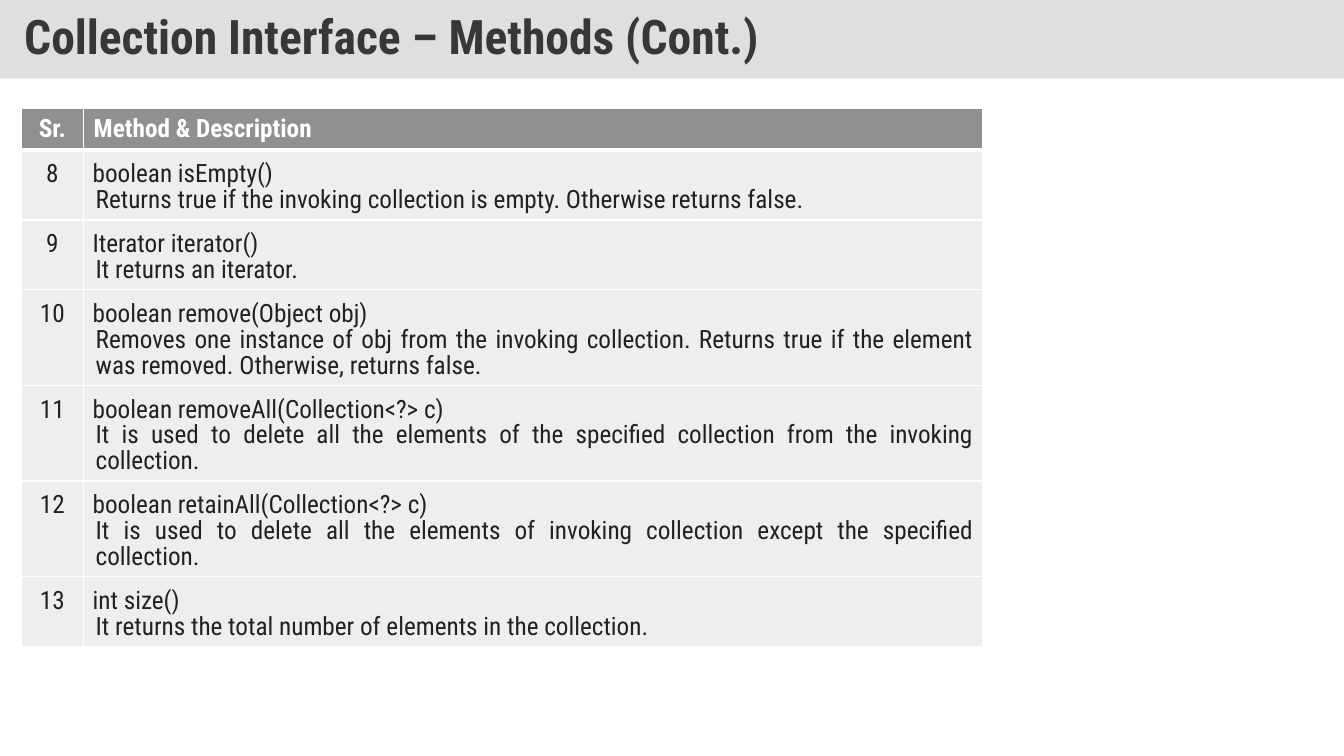
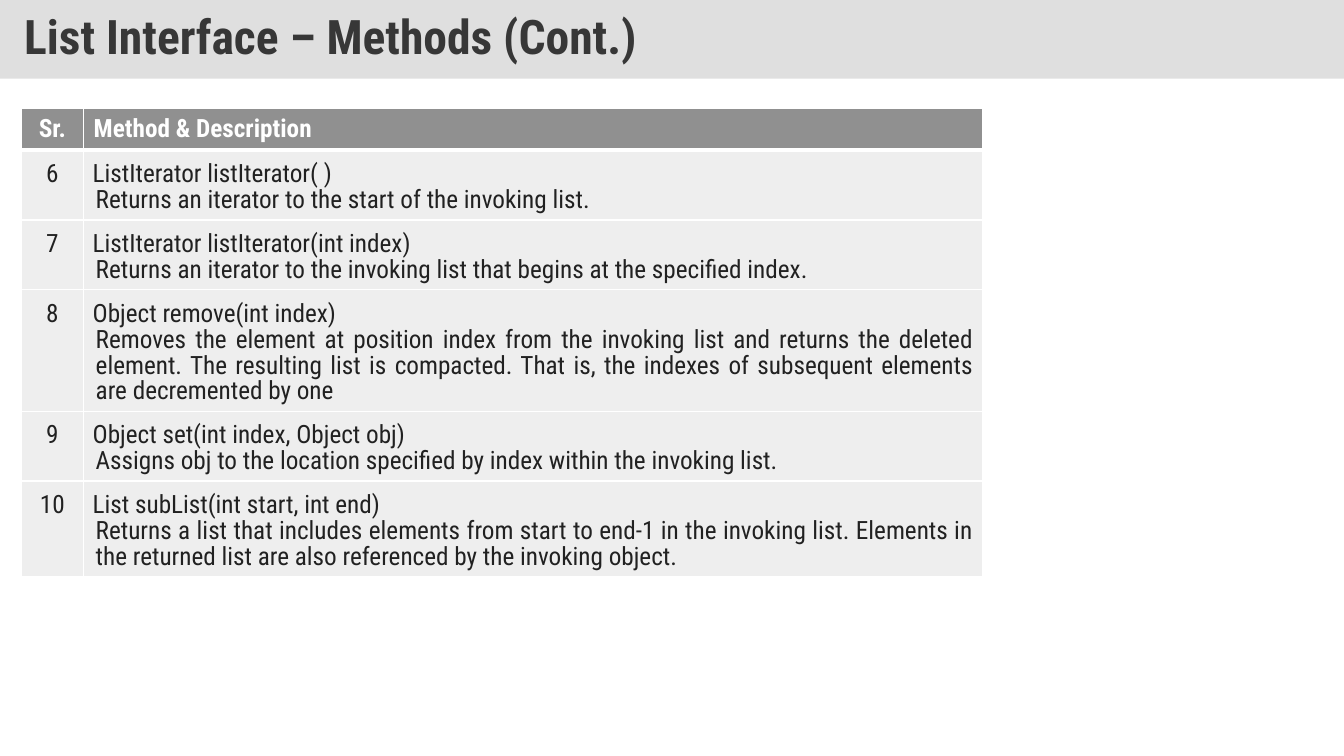
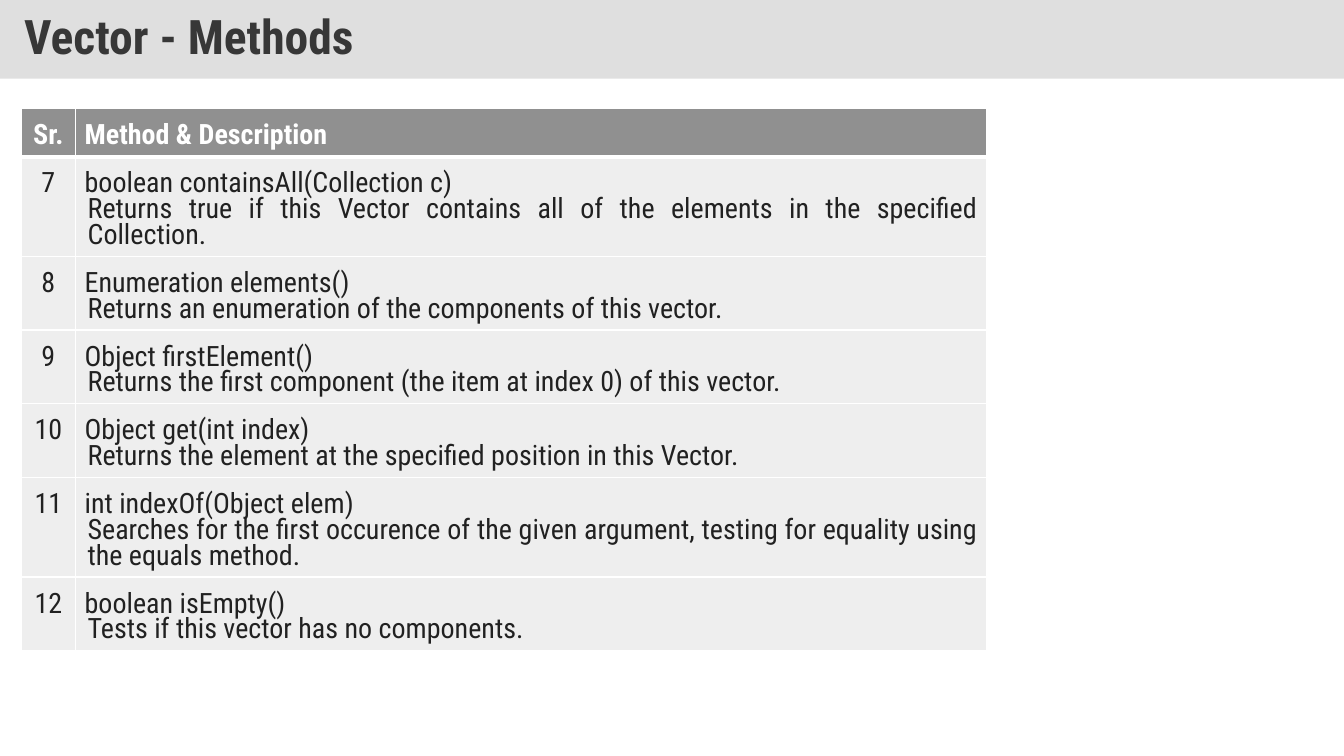
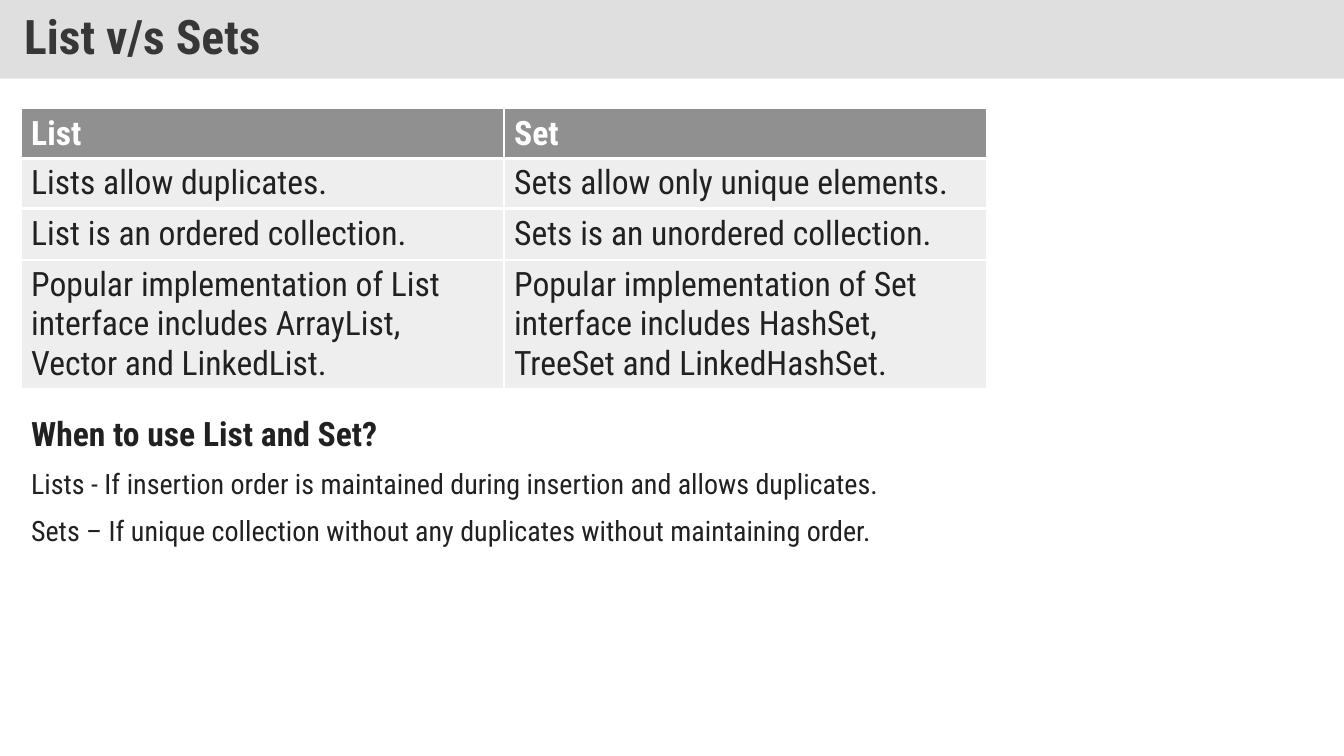
from dataclasses import dataclass

from lxml.etree import SubElement
from pptx import Presentation
from pptx.dml.color import RGBColor
from pptx.enum.text import MSO_ANCHOR, MSO_AUTO_SIZE, PP_ALIGN
from pptx.oxml.ns import qn
from pptx.util import Inches, Pt


@dataclass(frozen=True)
class Theme:
    font: str = "Roboto Condensed"
    band: str = "C0C0C0"
    band_alpha: int = 50000
    title: str = "373737"
    header: str = "909090"
    row: str = "EEEEEE"
    text: str = "212121"
    white: str = "FFFFFF"
    title_size: int = 34
    large: int = 24
    medium: int = 20
    small: int = 18
    thin: float = 0.96
    thick: float = 3


THEME = Theme()
SLIDE_WIDTH, SLIDE_HEIGHT, BAND_HEIGHT = 13.33, 7.5, 0.78
TABLE_LEFT, TABLE_TOP, ROW_HEIGHT = 0.21, 1.08, 0.41
WIDE_MARGINS = (0.1, 0.05)
BODY_MARGINS = (0.09, 0.05)

METHOD_PAGES = [
    {
        "title": "Collection Interface – Methods (Cont.)",
        "widths": (0.62, 8.92),
        "height": 5.07,
        "size": THEME.small,
        "header": {"margins": WIDE_MARGINS, "spacing": 1.0},
        "methods": [
            ("8", "boolean isEmpty()",
             "Returns true if the invoking collection is empty. Otherwise returns false."),
            ("9", "Iterator iterator()", "It returns an iterator."),
            ("10", "boolean remove(Object obj)",
             "Removes one instance of obj from the invoking collection. "
             "Returns true if the element was removed. Otherwise, returns false."),
            ("11", "boolean removeAll(Collection<?> c)",
             "It is used to delete all the elements of the specified collection "
             "from the invoking collection."),
            ("12", "boolean retainAll(Collection<?> c)",
             "It is used to delete all the elements of invoking collection "
             "except the specified collection."),
            ("13", "int size()",
             "It returns the total number of elements in the collection."),
        ],
    },
    {
        "title": "List Interface – Methods (Cont.)",
        "widths": (0.62, 8.92),
        "height": 4.64,
        "size": THEME.small,
        "header": {"margins": WIDE_MARGINS, "spacing": 1.0},
        "methods": [
            ("6", "ListIterator listIterator( )",
             "Returns an iterator to the start of the invoking list."),
            ("7", "ListIterator listIterator(int index)",
             "Returns an iterator to the invoking list that begins at the specified index."),
            ("8", "Object remove(int index)",
             "Removes the element at position index from the invoking list and returns "
             "the deleted element. The resulting list is compacted. That is, the indexes "
             "of subsequent elements are decremented by one"),
            ("9", "Object set(int index, Object obj)",
             "Assigns obj to the location specified by index within the invoking list."),
            ("10", "List subList(int start, int end)",
             "Returns a list that includes elements from start to end-1 in the invoking "
             "list. Elements in the returned list are also referenced by the invoking object."),
        ],
    },
    {
        "title": "Vector - Methods",
        "widths": (0.54, 9.04),
        "height": 5.38,
        "size": THEME.medium,
        "header": {"margins": BODY_MARGINS, "spacing": 1.15},
        "methods": [
            ("7", "boolean containsAll(Collection c)",
             "Returns true if this Vector contains all of the elements in the "
             "specified Collection."),
            ("8", "Enumeration elements()",
             "Returns an enumeration of the components of this vector."),
            ("9", "Object firstElement()",
             "Returns the first component (the item at index 0) of this vector."),
            ("10", "Object get(int index)",
             "Returns the element at the specified position in this Vector."),
            ("11", "int indexOf(Object elem)",
             "Searches for the first occurence of the given argument, testing for "
             "equality using the equals method."),
            ("12", "boolean isEmpty()", "Tests if this vector has no components."),
        ],
    },
]
METHOD_HEADER = ("Sr.", "Method & Description")

COMPARISON_TITLE = "List v/s Sets"
COMPARISON_WIDTHS = (4.79, 4.79)
COMPARISON_TABLES = [
    (1.08, 0.98, [("List", "Set"),
                  ("Lists allow duplicates.", "Sets allow only unique elements.")]),
    (2.08, 0.49, [("List is an ordered collection.", "Sets is an unordered collection.")]),
    (2.58, 1.28, [("Popular implementation of List interface includes ArrayList, "
                   "Vector and LinkedList.",
                   "Popular implementation of Set interface includes HashSet, "
                   "TreeSet and LinkedHashSet.")]),
]
ADVICE_AREA = (0.21, 4.02, 9.58, 1.46)
ADVICE = [
    ("When to use List and Set?", THEME.large, True),
    ("Lists - If insertion order is maintained during insertion and allows duplicates.",
     THEME.medium, False),
    ("Sets – If unique collection without any duplicates without maintaining order.",
     THEME.medium, False),
]


def set_all(target, values):
    for name, value in values.items():
        setattr(target, name, value)


def set_margins(target, horizontal, vertical):
    set_all(target, {
        "margin_left": Inches(horizontal), "margin_right": Inches(horizontal),
        "margin_top": Inches(vertical), "margin_bottom": Inches(vertical),
    })


def write(para, text, size, color, bold=False, indent=0, **layout):
    if indent:
        properties = para._p.get_or_add_pPr()
        properties.set("marL", str(Inches(indent)))
        properties.set("indent", "0")
    set_all(para, layout)
    span = para.add_run()
    span.text = text
    set_all(span.font, {"name": THEME.font, "size": Pt(size), "bold": bold})
    span.font.color.rgb = RGBColor.from_string(color)


def fill_with(target, color):
    target.fill.solid()
    target.fill.fore_color.rgb = RGBColor.from_string(color)


def add_page(deck, title):
    page = deck.slides.add_slide(deck.slide_layouts[5])
    band = page.shapes.title
    set_all(band, {
        "left": 0, "top": 0,
        "width": Inches(SLIDE_WIDTH), "height": Inches(BAND_HEIGHT),
    })
    fill_with(band, THEME.band)
    color = band._element.spPr.find(".//" + qn("a:srgbClr"))
    SubElement(color, qn("a:alpha"), val=str(THEME.band_alpha))
    frame = band.text_frame
    set_all(frame, {
        "vertical_anchor": MSO_ANCHOR.MIDDLE,
        "auto_size": MSO_AUTO_SIZE.NONE, "word_wrap": True,
    })
    set_margins(frame, 0.24, 0.12)
    write(frame.paragraphs[0], title, THEME.title_size, THEME.title, True,
          alignment=PP_ALIGN.LEFT, line_spacing=0.9)
    return page


def add_borders(cell, top, bottom):
    properties = cell._tc.get_or_add_tcPr()
    sides = {"lnL": THEME.thin, "lnR": THEME.thin, "lnT": top, "lnB": bottom}
    for side, width in sides.items():
        line = SubElement(properties, qn("a:" + side), w=str(Pt(width)))
        SubElement(SubElement(line, qn("a:solidFill")), qn("a:srgbClr"), val=THEME.white)


def add_grid(page, top, height, widths, row_count, has_header):
    frame = page.shapes.add_table(
        row_count, len(widths), Inches(TABLE_LEFT), Inches(top),
        Inches(sum(widths)), Inches(height))
    table = frame.table
    set_all(table, {"first_row": has_header, "horz_banding": False})
    for column, width in zip(table.columns, widths):
        column.width = Inches(width)
    for index, row in enumerate(table.rows):
        row.height = Inches(ROW_HEIGHT)
        is_header = has_header and index == 0
        below_header = has_header and index == 1
        for cell in row.cells:
            add_borders(cell, THEME.thick if below_header else THEME.thin,
                        THEME.thick if is_header else THEME.thin)
            fill_with(cell, THEME.header if is_header else THEME.row)
            set_margins(cell, *WIDE_MARGINS)
    frame.height = Inches(height)
    return table


def add_method_page(deck, content):
    page = add_page(deck, content["title"])
    methods, size, header = content["methods"], content["size"], content["header"]
    table = add_grid(page, TABLE_TOP, content["height"], content["widths"],
                     len(methods) + 1, True)
    alignments = (PP_ALIGN.CENTER, PP_ALIGN.LEFT)
    for cell, text, alignment in zip(table.rows[0].cells, METHOD_HEADER, alignments):
        set_margins(cell, *header["margins"])
        write(cell.text_frame.paragraphs[0], text, size, THEME.white, True,
              alignment=alignment, line_spacing=header["spacing"])
    for index, (number, signature, description) in enumerate(methods, 1):
        cells = table.rows[index].cells
        for cell, text, alignment in zip(cells, (number, signature), alignments):
            set_margins(cell, *BODY_MARGINS)
            write(cell.text_frame.paragraphs[0], text, size, THEME.text,
                  alignment=alignment, line_spacing=1.15)
        write(cells[1].text_frame.add_paragraph(), description, size, THEME.text,
              indent=0.03, alignment=PP_ALIGN.JUSTIFY, line_spacing=Pt(18.4))


def add_comparison_page(deck):
    page = add_page(deck, COMPARISON_TITLE)
    for top, height, rows in COMPARISON_TABLES:
        has_header = len(rows) > 1
        table = add_grid(page, top, height, COMPARISON_WIDTHS, len(rows), has_header)
        for index, texts in enumerate(rows):
            is_header = has_header and index == 0
            for cell, text in zip(table.rows[index].cells, texts):
                write(cell.text_frame.paragraphs[0], text, THEME.large,
                      THEME.white if is_header else THEME.text, is_header)
    box = page.shapes.add_textbox(*map(Inches, ADVICE_AREA))
    frame = box.text_frame
    set_all(frame, {"word_wrap": True, "auto_size": MSO_AUTO_SIZE.SHAPE_TO_FIT_TEXT})
    set_margins(frame, *WIDE_MARGINS)
    for index, (text, size, bold) in enumerate(ADVICE):
        para = frame.add_paragraph() if index else frame.paragraphs[0]
        write(para, text, size, THEME.text, bold, alignment=PP_ALIGN.JUSTIFY,
              line_spacing=1.07, space_after=Pt(8))


def main():
    deck = Presentation()
    set_all(deck, {
        "slide_width": Inches(SLIDE_WIDTH), "slide_height": Inches(SLIDE_HEIGHT),
    })
    for content in METHOD_PAGES:
        add_method_page(deck, content)
    add_comparison_page(deck)
    deck.save("out.pptx")


if __name__ == "__main__":
    main()
